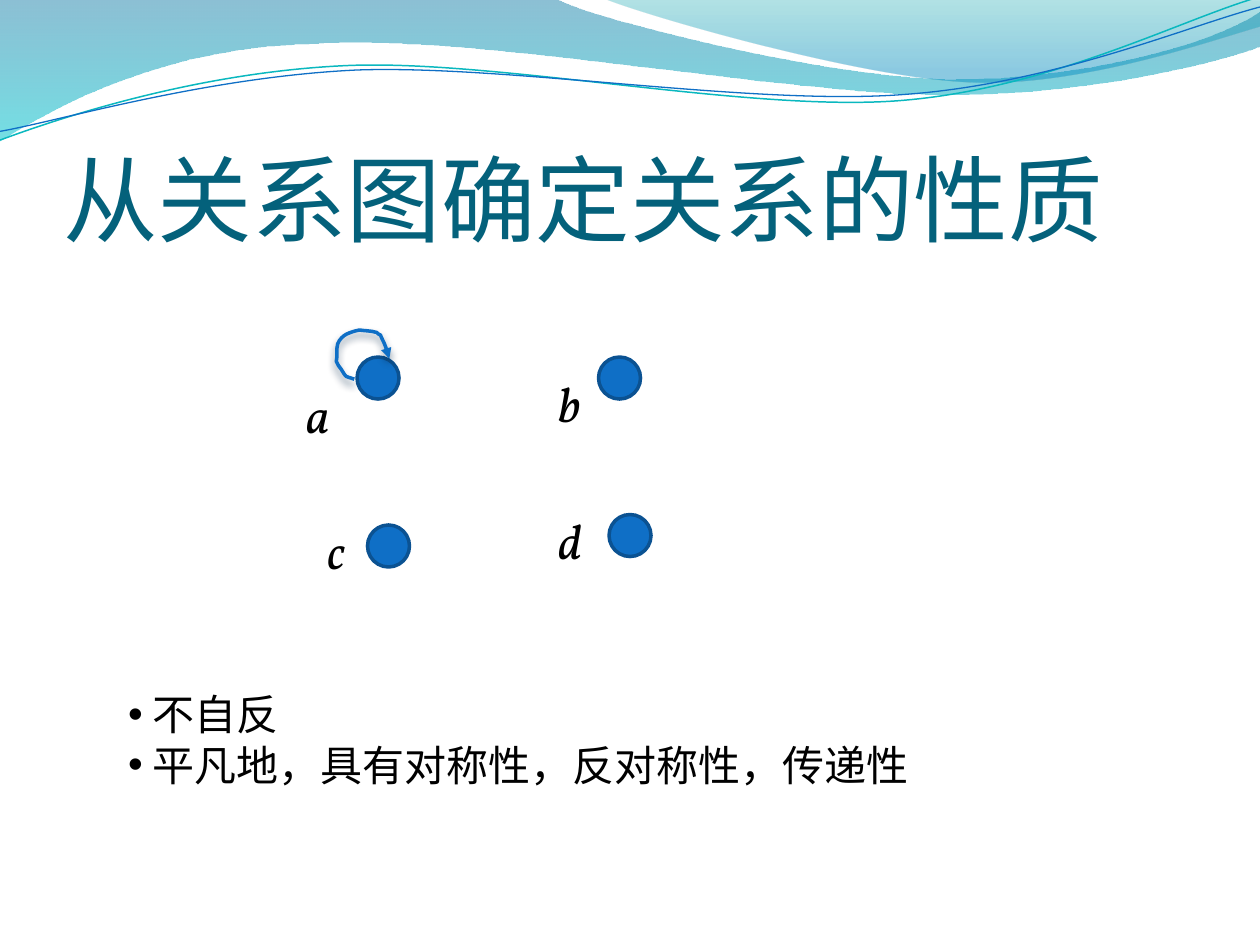
from itertools import chain

from pptx import Presentation
from pptx.dml.color import RGBColor as RGB
from pptx.enum.shapes import MSO_SHAPE as Shape
from pptx.enum.text import MSO_ANCHOR as Anchor, MSO_AUTO_SIZE as Fit, PP_ALIGN as Align
from pptx.oxml import parse_xml
from pptx.oxml.ns import nsdecls, qn
from pptx.util import Pt

BLUE = "0F6FC6"
color = RGB.from_string


def write(frame, lines, size, font, ink="000000", italic=False, inset=None):
    frame.word_wrap = True
    frame.auto_size = Fit.NONE
    if inset:
        (frame.margin_left, frame.margin_top,
         frame.margin_right, frame.margin_bottom) = map(Pt, inset)
    for i, line in enumerate(lines):
        para = frame.add_paragraph() if i else frame.paragraphs[0]
        para.alignment = Align.LEFT
        para.space_before = Pt(0)
        run = para.add_run()
        run.text = line
        run.font.size, run.font.name = Pt(size), font
        run.font.italic = italic
        run.font.color.rgb = color(ink)


def draw(start, parts, close=False):
    """Two numbers make a straight part, six a Bezier curve."""
    dots = [round(v * 100) for v in chain(start, *parts)]
    dots = list(zip(dots[::2], dots[1::2]))
    path = slide.shapes.build_freeform(*dots[0], scale=Pt(1) / 100)
    path.add_line_segments(dots[1:], close=close)
    shape = path.convert_to_shape()
    shape.shadow.inherit = False
    legs = iter(list(shape._element.spPr.iter(qn("a:lnTo"))))
    for part in parts:
        trio = [next(legs) for _ in range(len(part) // 2)]
        if len(trio) == 3:
            curve = parse_xml(f'<a:cubicBezTo {nsdecls("a")}/>')
            trio[0].addprevious(curve)
            for leg in trio:
                curve.append(leg[0])
                leg.getparent().remove(leg)
    return shape


deck = Presentation()
deck.slide_width, deck.slide_height = Pt(720), Pt(540)
slide = deck.slides.add_slide(deck.slide_layouts[1])

# Waves along the top: start, parts, stops of (position, colour, opacity)
waves = [
    ((0, 0), [(317, -1), (343, 12, 478, 45, 546, 45), (614, 45, 690, 27, 720, 6.5),
              (721, 26), (708, 32, 626, 55, 537, 54), (448, 54, 275, 20, 185, 24.5),
              (93, 26, 33, 60, -1, 81), (0, 0)],
     [(0, "0074A1", 45), (1, "00C6CF", 55)]),
    ((345, -1), [(366, 8, 491, 44.6, 554, 47), (616, 50, 692, 23, 720, 15),
                 (720, 0), (345, -1)],
     [(0, "00A1A9", 30), (0.8, "008BBF", 45)]),
]
for start, parts, stops in waves:
    wave = draw(start, parts, close=True)
    wave.line.fill.background()
    wave.fill.gradient()
    wave.fill.gradient_angle = 270
    for stop, (place, hue, _) in zip(wave.fill.gradient_stops, stops):
        stop.position = place
        stop.color.rgb = color(hue)
    for tag, (_, _, part) in zip(wave._element.spPr.iter(qn("a:srgbClr")), stops):
        tag.append(parse_xml(f'<a:alpha {nsdecls("a")} val="{part * 1000}"/>'))

# Thin tilted lines below the waves, and the loop on node a
curves = [
    ((-1.4, 63.1), [(34.2, 51.7, 114.3, 29.4, 199.7, 29.9),
                    (284.4, 30.5, 425.9, 67.2, 512.1, 64.8),
                    (599.3, 62.3, 676.1, 25.9, 720.6, 15.4)], "0AB8BF", 0.85, 357.3),
    ((-1.1, 58.1), [(33.2, 53.7, 118.2, 32.6, 204.3, 32.7),
                    (290.3, 33.7, 429.1, 63.8, 515.3, 61.4),
                    (601.5, 59.4, 679, 30, 721.4, 21)], BLUE, 0.75, 357.3),
]
ring = ((202.5, 216.7), [(196.5, 214.5, 198.5, 216.5, 195, 211), (193.5, 209), (192.2, 206.5),
                         (193, 203.5, 192, 200, 193, 196.5), (194, 194, 196, 192, 198, 191),
                         (200, 190, 203, 189, 205.5, 188.6),
                         (207.5, 189, 212.5, 189, 215.3, 190),
                         (216, 191, 217, 191.2, 217.5, 191.5),
                         (217.7, 192, 218, 193, 218.4, 193.7),
                         (218.7, 194.4, 219, 195, 219.5, 196),
                         (220, 197, 220.5, 198.5, 221, 200), (221.8, 202.3),
                         (222.5, 204.5, 222.5, 203.8, 222.5, 205)], BLUE, 2, 0)

# Nodes and their labels: name, node corner, label corner
nodes = [
    ("a", (204, 204), (168, 216)),
    ("b", (342, 204), (312, 210)),
    ("c", (210, 300), (180, 294)),
    ("d", (348, 294), (312, 288)),
]
for name, (x, y), (left, top) in nodes:
    node = slide.shapes.add_shape(Shape.OVAL, Pt(x), Pt(y), Pt(24), Pt(24))
    node.shadow.inherit = False
    node.fill.solid()
    node.fill.fore_color.rgb = color(BLUE)
    node.line.color.rgb = color("0B5292")
    node.line.width = Pt(2)
    label = slide.shapes.add_textbox(Pt(left), Pt(top), Pt(30), Pt(41))
    write(label.text_frame, [name], 28, "Vollkorn", italic=True)

for start, parts, hue, width, turn in curves + [ring]:
    loop = draw(start, parts)
    loop.rotation = turn
    loop.fill.background()
    loop.line.color.rgb = color(hue)
    loop.line.width = Pt(width)

# Arrowhead and soft shadow of the loop
look = loop._element.spPr
look.find(qn("a:ln")).append(parse_xml(f'<a:tailEnd {nsdecls("a")} type="triangle"/>'))
look.find(qn("a:effectLst")).append(parse_xml(
    f'<a:outerShdw {nsdecls("a")} blurRad="{Pt(4.5)}" dist="{Pt(3)}" dir="5400000" rotWithShape="0">'
    '<a:srgbClr val="042747"><a:alpha val="48000"/></a:srgbClr></a:outerShdw>'))

# Title and list
title, body = slide.placeholders
title.left, title.top, title.width, title.height = Pt(36), Pt(55.5), Pt(648), Pt(90)
write(title.text_frame, ["从关系图确定关系的性质"], 54, "Calibri", ink="04617B",
      inset=(0, 3.6, 0, 0))
title.text_frame.vertical_anchor = Anchor.BOTTOM

body.left, body.top, body.width, body.height = Pt(66), Pt(390), Pt(612), Pt(65.5)
write(body.text_frame, [" 不自反", " 平凡地，具有对称性，反对称性，传递性"], 24, "Vollkorn")
for para in body.text_frame.paragraphs:
    props = para._p.get_or_add_pPr()
    props.set("marL", "0")
    props.set("indent", "0")
    props.append(parse_xml(f'<a:buChar {nsdecls("a")} char="•"/>'))

deck.save("out.pptx")
